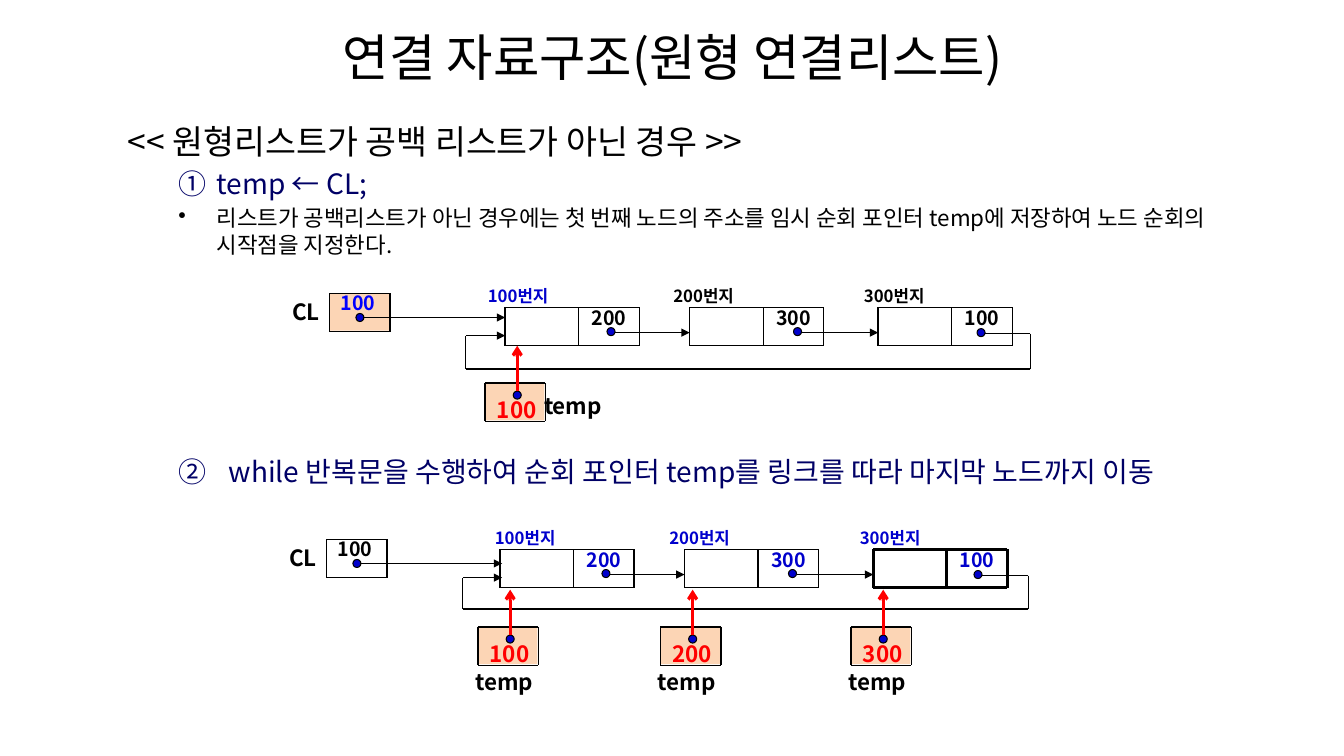
from itertools import pairwise

from lxml import etree
from pptx import Presentation
from pptx.dml.color import RGBColor
from pptx.enum.shapes import MSO_CONNECTOR, MSO_SHAPE
from pptx.enum.text import MSO_ANCHOR as Anchor, PP_ALIGN as Align
from pptx.oxml.ns import qn
from pptx.util import Inches, Pt

FONT = "Noto Sans CJK KR"
BLACK = RGBColor(0x00, 0x00, 0x00)
NAVY = RGBColor(0x00, 0x00, 0x66)
BLUE = RGBColor(0x00, 0x00, 0xCC)
BRIGHT_BLUE = RGBColor(0x00, 0x00, 0xFF)
RED = RGBColor(0xFF, 0x00, 0x00)
PEACH = RGBColor(0xFC, 0xD5, 0xB5)

DOT = 0.08
DATA_WIDTH, LINK_WIDTH, CELL_HEIGHT = 0.73, 0.6, 0.38


def style_runs(paragraph, size, color, bold=False):
    for run in paragraph.runs:
        run.font.size = Pt(size)
        run.font.bold = bold
        run.font.color.rgb = color
        run.font.name = FONT


def add_text_box(slide, left, top, width, height, anchor=Anchor.MIDDLE):
    box = slide.shapes.add_textbox(
        Inches(left), Inches(top), Inches(width), Inches(height))
    box.text_frame.word_wrap = True
    box.text_frame.vertical_anchor = anchor
    return box.text_frame


def add_label(slide, text, left, top, width, size, color):
    frame = add_text_box(slide, left, top, width, 0.18)
    frame.text = text
    style_runs(frame.paragraphs[0], size, color, bold=True)


def add_name(slide, text, left, top, width):
    """Write a pointer's name flush right without side margins."""
    frame = add_text_box(slide, left, top, width, 0.38)
    frame.margin_left = frame.margin_right = frame.margin_top = 0
    frame.text = text
    frame.paragraphs[0].alignment = Align.RIGHT
    style_runs(frame.paragraphs[0], 16, BLACK, bold=True)


def add_shape(slide, kind, left, top, width, height, fill):
    shape = slide.shapes.add_shape(
        kind, Inches(left), Inches(top), Inches(width), Inches(height))
    shape.shadow.inherit = False
    shape.fill.solid()
    shape.fill.fore_color.rgb = fill
    shape.line.fill.background()
    return shape


def add_dot(slide, left, top):
    dot = add_shape(slide, MSO_SHAPE.OVAL, left, top, DOT, DOT, BLUE)
    dot.line.color.rgb = BLACK
    dot.line.width = Pt(0.75)
    return dot


def add_line(slide, start, end, color=BLACK, width=1.0, head=None):
    line = slide.shapes.add_connector(
        MSO_CONNECTOR.STRAIGHT, *(Inches(value) for value in (*start, *end)))
    line.line.color.rgb = color
    line.line.width = Pt(width)
    if head:
        tail_end = etree.SubElement(line.line._get_or_add_ln(), qn("a:tailEnd"))
        tail_end.set("type", head)
    etree.SubElement(line._element.spPr, qn("a:effectLst"))
    return line


def add_cells(slide, top, edges, line_width=1):
    """Rule a row of cells whose upright lines stand at the given edges."""
    bottom = top + CELL_HEIGHT
    for y in (top, bottom):
        add_line(slide, (edges[0], y), (edges[-1], y), width=line_width)
    for x in edges:
        add_line(slide, (x, top), (x, bottom), width=line_width)


def add_pointer_cell(slide, left, top, fill):
    if fill is not None:
        add_shape(slide, MSO_SHAPE.RECTANGLE, left, top, 0.59, 0.37, fill)
    add_cells(slide, top, (left, left + LINK_WIDTH))


def add_node(slide, left, top, link, line_width, color):
    """Draw a node: an empty data cell and a cell with the next address."""
    link_left = left + DATA_WIDTH
    add_cells(slide, top, (left, link_left, link_left + LINK_WIDTH), line_width)
    add_label(slide, link, left + 0.76, top + 0.01, 0.56, 14, color)


def add_loop(slide, points):
    """Draw a bent line whose last segment ends in an arrowhead."""
    segments = list(pairwise(points))
    for start, end in segments:
        head = "triangle" if (start, end) == segments[-1] else None
        add_line(slide, start, end, head=head)


def add_head_pointer(slide, left, top, target, fill, color):
    add_pointer_cell(slide, left, top, fill)
    add_name(slide, "CL", left - 0.55, top + 0.02, 0.45)
    add_label(slide, "100", left + 0.01, top, 0.56, 14, color)
    add_dot(slide, left + 0.26, top + 0.2)
    add_line(slide, (left + 0.33, top + 0.24), (target, top + 0.24),
             width=0.75, head="triangle")


def add_temp_pointer(slide, left, top, address, name_offset):
    add_pointer_cell(slide, left, top, PEACH)
    offset_x, offset_y = name_offset
    add_name(slide, "temp", left + offset_x, top + offset_y, 0.6)
    add_label(slide, address, left + 0.02, top + 0.17, 0.63, 16, RED)
    dot = add_dot(slide, left + 0.28, top + 0.08)
    arrow = add_line(slide, (left + 0.32, top + 0.08), (left + 0.32, top - 0.37),
                     RED, 2.25, "arrow")
    arrow.begin_connect(dot, 0)


def add_list(slide, top, nodes, link_color, loop, last_width=1):
    """Draw the nodes given as (address, left, label left, dot left, colour).

    The loop is given as (left, right, bottom, arrow tip).
    """
    addresses = [node[0] for node in nodes]
    links = addresses[1:] + addresses[:1]
    lefts = [node[1] for node in nodes]
    for index, (address, left, label_left, dot_left, color) in enumerate(nodes):
        is_last = index == len(nodes) - 1
        add_node(slide, left, top, links[index],
                 last_width if is_last else 1, link_color)
        add_label(slide, f"{address}번지", label_left, top - 0.21, 0.96, 12, color)
        add_dot(slide, dot_left, top + (0.21 if is_last else 0.2))
        if not is_last:
            add_line(slide, (dot_left + DOT, top + 0.25),
                     (lefts[index + 1], top + 0.25), width=0.75, head="triangle")
    loop_start = nodes[-1][3] + DOT
    loop_left, loop_right, bottom, tip = loop
    add_loop(slide, [(loop_start, top + 0.26), (loop_right, top + 0.26),
                     (loop_right, bottom), (loop_left, bottom),
                     (loop_left, top + 0.28), (tip, top + 0.28)])


def format_item(paragraph, margin, indent, bullet=None, **attributes):
    properties = paragraph._p.get_or_add_pPr()
    properties.set("marL", str(Inches(margin)))
    properties.set("indent", str(Inches(indent)))
    if bullet:
        mark = etree.SubElement(properties, qn(bullet))
        for name, value in attributes.items():
            mark.set(name, value)


def add_title(slide):
    frame = add_text_box(slide, 0.67, 0.13, 12, 0.85)
    frame.text = "연결 자료구조(원형 연결리스트)"
    frame.paragraphs[0].alignment = Align.CENTER
    style_runs(frame.paragraphs[0], 36, BLACK)


def add_first_step(slide):
    frame = add_text_box(slide, 0.67, 1.15, 12, 1.5, Anchor.TOP)
    frame.text = "\n".join((
        "<< 원형리스트가 공백 리스트가 아닌 경우 >>",
        "temp ← CL;",
        "리스트가 공백리스트가 아닌 경우에는 첫 번째 노드의 주소를 임시 순회 포인터 "
        "temp에 저장하여 노드 순회의 시작점을 지정한다."))
    heading, step, detail = frame.paragraphs
    format_item(heading, 0.92, -0.42)
    format_item(step, 1.38, -0.38, "a:buAutoNum", type="circleNumDbPlain")
    format_item(detail, 1.38, -0.38, "a:buChar", char="•")
    for paragraph, size, color, before in (
            (heading, 24, BLACK, 0), (step, 20, NAVY, 4), (detail, 16, BLACK, 3)):
        paragraph.space_before = Pt(before)
        style_runs(paragraph, size, color)


def add_second_step(slide):
    frame = add_text_box(slide, 0.67, 4.46, 12, 0.5, Anchor.TOP)
    frame.text = "while 반복문을 수행하여 순회 포인터 temp를 링크를 따라 마지막 노드까지 이동"
    step = frame.paragraphs[0]
    format_item(step, 1.5, -0.5, "a:buAutoNum", type="circleNumDbPlain", startAt="2")
    style_runs(step, 20, NAVY)


def main():
    presentation = Presentation()
    presentation.slide_width, presentation.slide_height = Inches(13.33), Inches(7.5)
    slide = presentation.slides.add_slide(presentation.slide_layouts[6])
    add_title(slide)

    add_first_step(slide)
    add_head_pointer(slide, 3.27, 2.91, 5.01, PEACH, BRIGHT_BLUE)
    first_nodes = [("100", 5.01, 4.74, 6.02, BLUE), ("200", 6.84, 6.58, 7.87, BLACK),
                   ("300", 8.71, 8.47, 9.69, BLACK)]
    add_list(slide, 3.05, first_nodes, BLACK, (4.62, 10.22, 3.66, 5.01))
    add_temp_pointer(slide, 4.81, 3.8, "100", (0.56, 0.06))

    add_second_step(slide)
    add_head_pointer(slide, 3.24, 5.35, 4.98, None, BLACK)
    second_nodes = [("100", 4.96, 4.81, 5.97, BLUE), ("200", 6.79, 6.54, 7.82, BLUE),
                    ("300", 8.66, 8.43, 9.66, BLUE)]
    add_list(slide, 5.45, second_nodes, BLUE, (4.59, 10.2, 6.04, 4.98), 2.25)
    for address, left in (("100", 4.74), ("200", 6.55), ("300", 8.44)):
        add_temp_pointer(slide, left, 6.22, address, (-0.05, 0.38))
    presentation.save("out.pptx")


if __name__ == "__main__":
    main()
